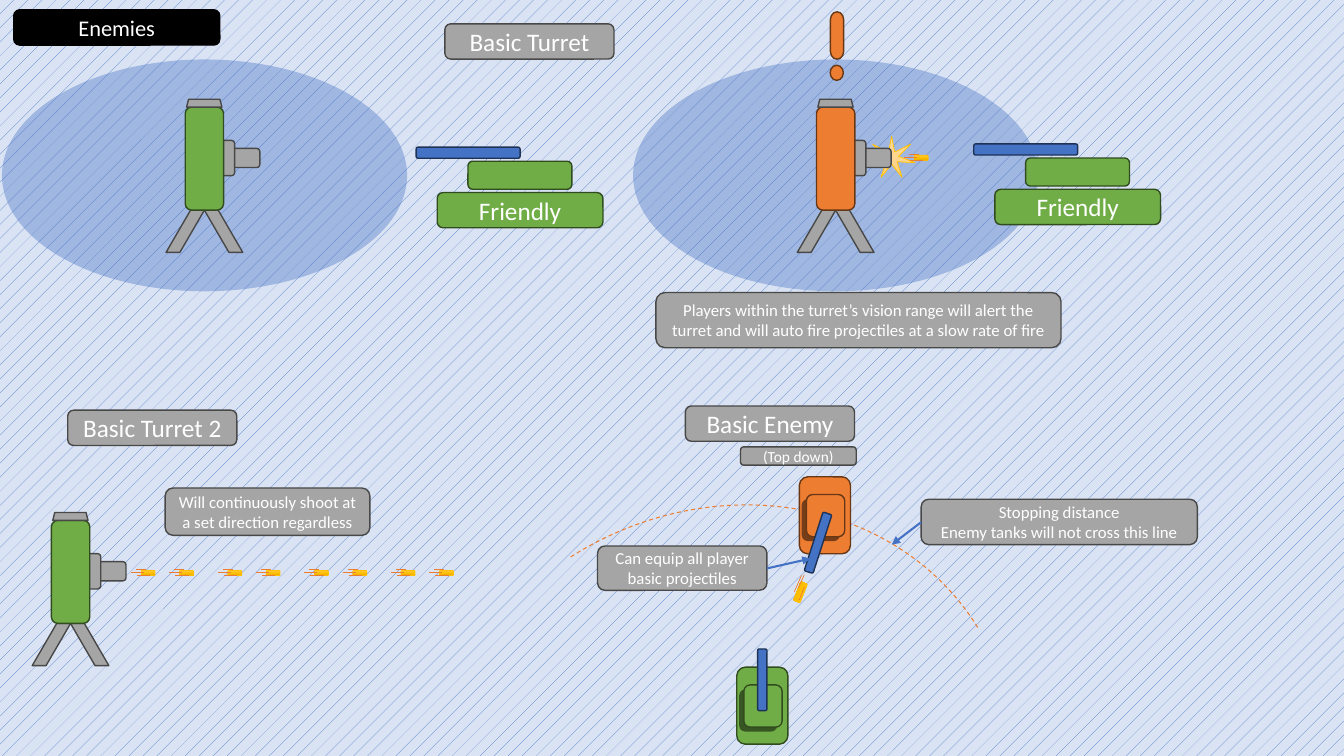
import copy
import dataclasses

import pptx
import pptx.dml.color
import pptx.enum.dml
import pptx.enum.shapes
import pptx.enum.text
import pptx.oxml.ns
import pptx.oxml.xmlchemy
import pptx.util

Pt = pptx.util.Pt
SHAPE = pptx.enum.shapes.MSO_SHAPE


def rgb(value):
    return pptx.dml.color.RGBColor.from_string(value)


@dataclasses.dataclass(frozen=True)
class Theme:
    font: str = "Calibri"
    text: str = "FFFFFF"
    blue: str = "4472C4"
    pale: str = "DAE3F3"
    gold: str = "FFC000"
    orange: str = "ED7D31"
    green: str = "70AD47"
    grey: str = "A5A5A5"
    black: str = "000000"
    bullet: tuple = ("FFC64B", "FFC000", "E3AB00")
    flash: tuple = ("FFDB9E", "FFD590", "FFD07C")
    title: int = 18
    header: int = 16
    note: int = 12
    small: int = 11

    def edge(self, color):
        edges = {self.blue: "1E3256", self.orange: "683715",
                 self.green: "314C1F", self.grey: "484848"}
        return edges.get(color, color)


class Sketch:
    """Draws on one page; all lengths are in points."""

    def __init__(self, page, theme):
        self.page, self.theme = page, theme

    # Basic elements
    def shape(self, kind, left, top, width, height, fill=None, edge=None,
              weight=1, angle=0, adjust=(), alpha=None):
        box = self.page.shapes.add_shape(
            kind, Pt(left), Pt(top), Pt(width), Pt(height))
        box.shadow.inherit = False
        box.rotation = angle
        for index, value in enumerate(adjust):
            box.adjustments[index] = value
        if fill is None:
            box.fill.background()
        elif isinstance(fill, tuple):
            self.gradient(box, fill)
        else:
            box.fill.solid()
            box.fill.fore_color.rgb = rgb(fill)
        if alpha is not None:
            color = box._element.spPr.find(".//" + pptx.oxml.ns.qn("a:srgbClr"))
            mark = pptx.oxml.xmlchemy.OxmlElement("a:alpha")
            mark.set("val", str(alpha * 1000))
            color.append(mark)
            box.line.fill.background()
        else:
            box.line.color.rgb = rgb(edge or self.theme.edge(fill))
            box.line.width = Pt(weight)
        return box

    def gradient(self, box, colors):
        box.fill.gradient()
        box.fill.gradient_angle = 270
        last = box._element.spPr.findall(".//" + pptx.oxml.ns.qn("a:gs"))[-1]
        last.addprevious(copy.deepcopy(last))
        for index, stop in enumerate(box.fill.gradient_stops):
            stop.color.rgb = rgb(colors[index])
            stop.position = index / 2

    def block(self, left, top, width, height, fill, **style):
        return self.shape(SHAPE.ROUNDED_RECTANGLE, left, top, width, height, fill, **style)

    def label(self, left, top, width, height, lines, size, fill=None):
        box = self.block(left, top, width, height, fill or self.theme.grey)
        frame = box.text_frame
        frame.word_wrap = True
        frame.vertical_anchor = pptx.enum.text.MSO_ANCHOR.MIDDLE
        formats = {"name": self.theme.font, "size": Pt(size)}
        for index, line in enumerate(lines):
            para = frame.add_paragraph() if index else frame.paragraphs[0]
            para.alignment = pptx.enum.text.PP_ALIGN.CENTER
            span = para.add_run()
            span.text = line
            for name, value in formats.items():
                setattr(span.font, name, value)
            span.font.color.rgb = rgb(self.theme.text)

    def line(self, start, end, color, weight, arrow=False):
        link = self.page.shapes.add_connector(
            pptx.enum.shapes.MSO_CONNECTOR.STRAIGHT, *map(Pt, start + end))
        link.line.color.rgb = rgb(color)
        link.line.width = Pt(weight)
        properties = link._element.spPr
        if arrow:
            head = pptx.oxml.xmlchemy.OxmlElement("a:tailEnd")
            head.set("type", "triangle")
            properties.find(pptx.oxml.ns.qn("a:ln")).append(head)
        properties.append(pptx.oxml.xmlchemy.OxmlElement("a:effectLst"))

    # Game pieces
    def vision(self, left):
        self.shape(SHAPE.OVAL, left, 42.5, 289.4, 165.6, self.theme.blue, alpha=38)

    def turret(self, x, y, color):
        grey = self.theme.grey
        self.block(x + 13.7, y + 29.5, 39.6, 13.7, grey)
        self.block(x + 21.6, y + 23.8, 13.7, 25.2, grey)
        for offset in (-13.7, 13.7):
            leg = self.shape(SHAPE.PARALLELOGRAM, x + offset, y + 73.6, 27.4, 30.2,
                             grey, adjust=[0.64])
            if offset > 0:
                leg._element.spPr.find(pptx.oxml.ns.qn("a:xfrm")).set("flipH", "1")
        self.block(x, y, 27.4, 73.6, color)
        self.shape(SHAPE.TRAPEZOID, x + 1, y - 5.6, 25.2, 5.6, grey)

    def friendly(self, x, y):
        self.label(x, y, 118.4, 25.2, ["Friendly"], self.theme.title, self.theme.green)
        self.block(x + 22, y - 22.3, 74.2, 20, self.theme.green)
        self.block(x - 15, y - 32.4, 74.2, 7.9, self.theme.blue)

    def shot(self, x, y, width=10, height=3.6, angle=0,
             streaks=((-3.6, -0.7, 3.6, -0.7), (-7.2, 1.4, 2, 1.4), (6.5, 3.6, -2.9, 3.6))):
        self.block(x, y, width, height, self.theme.bullet,
                   edge=self.theme.gold, weight=0.5, angle=angle)
        for x1, y1, x2, y2 in streaks:
            self.line((x + x1, y + y1), (x + x2, y + y2), self.theme.orange, 0.5)

    def tank(self, x, y, color, gun_x, gun_y, angle):
        self.block(x, y, 36.5, 55, color)
        self.block(x + 1.6, y + 15.8, 27.4, 30.2, self.theme.black, alpha=50)
        self.block(x + 5, y + 12.6, 27.4, 30.2, color)
        self.block(gun_x - 22, gun_y - 3.3, 44, 6.6, self.theme.blue, angle=angle)


def main():
    theme = Theme()
    deck = pptx.Presentation()
    deck.slide_width, deck.slide_height = Pt(960), Pt(540)
    page = deck.slides.add_slide(deck.slide_layouts[6])
    back = page.background.fill
    back.patterned()
    back.pattern = pptx.enum.dml.MSO_PATTERN.PERCENT_5
    back.fore_color.rgb = rgb(theme.blue)
    back.back_color.rgb = rgb(theme.pale)
    sketch = Sketch(page, theme)

    # Stopping line of the enemy tank
    arc = sketch.shape(SHAPE.ARC, 294.5, 367.2, 437, 393, edge=theme.orange,
                       weight=0.75, angle=327.6, adjust=[162, 0.525])
    arc.line.dash_style = pptx.enum.dml.MSO_LINE.DASH

    # Basic turret: idle on the left, alerted on the right
    sketch.label(9.8, 7, 147.2, 25.2, ["Enemies"], theme.header, theme.black)
    sketch.label(317.8, 17, 120.8, 25.2, ["Basic Turret"], theme.title)
    sketch.vision(1.4)
    sketch.turret(132.3, 76.5, theme.green)
    sketch.friendly(312.3, 137.5)
    sketch.vision(452.2)
    sketch.shape(SHAPE.STAR_7_POINT, 620, 97.2, 33.8, 29.5, theme.flash,
                 edge=theme.gold, weight=0.5, adjust=[0.145])
    sketch.turret(583.2, 76.5, theme.orange)
    sketch.friendly(710.6, 135.2)
    sketch.shot(653, 110.9)
    sketch.shape(SHAPE.FLOWCHART_TERMINATOR, 581, 20.7, 33.8, 9.4, theme.orange, angle=90)
    sketch.shape(SHAPE.OVAL, 593, 46.6, 9.4, 10.8, theme.orange)
    sketch.label(468.5, 209, 289.4, 39.4, [
        "Players within the turret’s vision range will alert the turret "
        "and will auto fire projectiles at a slow rate of fire"], theme.note)

    # Basic turret 2 with its stream of paired shots
    sketch.label(48.4, 293, 120.8, 25.2, ["Basic Turret 2"], theme.title)
    sketch.turret(36.7, 371.7, theme.green)
    for pair in range(4):
        for offset in (0, 27.4):
            sketch.shot(100.8 + 61.9 * pair + offset, 407.5)
    sketch.label(118, 348.6, 146.2, 33.8,
                 ["Will continuously shoot at a set direction regardless"], theme.note)

    # Basic enemy seen from above
    sketch.label(489.6, 290, 120.8, 25.2, ["Basic Enemy"], theme.title)
    sketch.label(529, 319.2, 82.6, 13, ["(Top down)"], theme.small)
    sketch.tank(526.3, 476.6, theme.green, 544.5, 485.6, 90)
    sketch.tank(571, 340.6, theme.orange, 584.3, 387.7, 107.8)
    sketch.shot(564.5, 420.5, 14.4, 5, 111.7, streaks=(
        (10, -10, 5.8, -0.7), (8, -9.4, 2.9, 2.2), (10, -1.4, 6.5, 8)))
    sketch.label(658, 356.6, 197.3, 32.4,
                 ["Stopping distance", "Enemy tanks will not cross this line"], theme.note)
    sketch.line((658, 373), (637, 389), theme.blue, 1.5, arrow=True)
    sketch.label(426.8, 390, 121, 31.7,
                 ["Can equip all player basic projectiles"], theme.note)
    sketch.line((548, 406), (579, 399), theme.blue, 1.5, arrow=True)

    deck.save("out.pptx")


if __name__ == "__main__":
    main()
